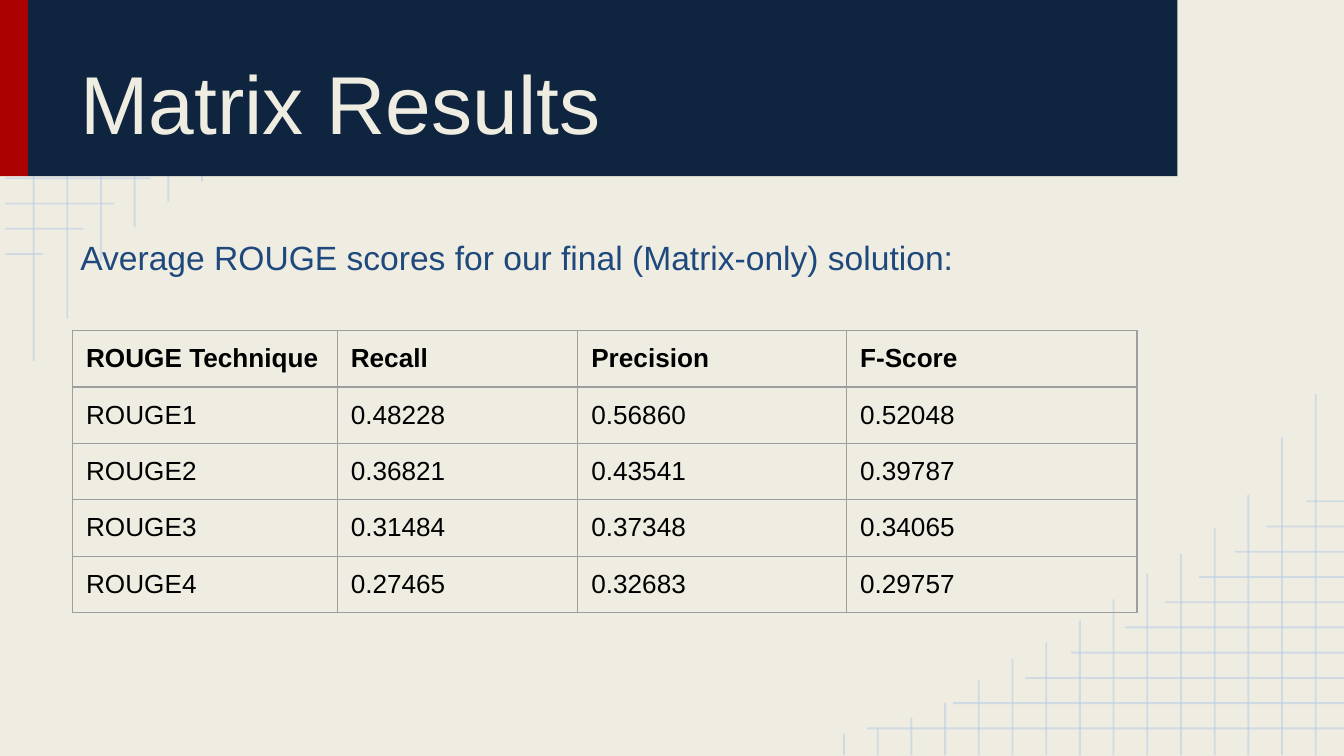
from lxml import etree
from pptx import Presentation
from pptx.dml.color import RGBColor
from pptx.enum.shapes import MSO_CONNECTOR, MSO_SHAPE
from pptx.enum.text import MSO_ANCHOR
from pptx.oxml import parse_xml
from pptx.oxml.ns import nsdecls, qn
from pptx.util import Inches, Pt

STRAIGHT = MSO_CONNECTOR.STRAIGHT
RECTANGLE = MSO_SHAPE.RECTANGLE
TOP, BOTTOM = MSO_ANCHOR.TOP, MSO_ANCHOR.BOTTOM

CREAM = RGBColor(0xEF, 0xED, 0xE2)
NAVY = RGBColor(0x0F, 0x24, 0x3E)
RED = RGBColor(0xAB, 0x01, 0x01)
BLUE = RGBColor(0x1F, 0x49, 0x7D)
PALE_BLUE = RGBColor(0xB7, 0xCC, 0xE4)
BLACK = RGBColor(0, 0, 0)
BORDER_GREY = "9E9E9E"

prs = Presentation()
prs.slide_width = Inches(10)
prs.slide_height = prs.slide_width * 9 // 16
slide = prs.slides.add_slide(prs.slide_layouts[6])
slide.background.fill.solid()
slide.background.fill.fore_color.rgb = CREAM


def add_grid_line(x1, y1, x2, y2):
    """Draw one half-transparent line of the background grid."""
    line = slide.shapes.add_connector(
        STRAIGHT, Inches(x1), Inches(y1), Inches(x2), Inches(y2))
    line.line.color.rgb = PALE_BLUE
    line.line.width = Pt(1)
    properties = line._element.spPr
    color = properties.find(".//" + qn("a:srgbClr"))
    etree.SubElement(color, qn("a:alpha"), val="54000")
    etree.SubElement(properties, qn("a:effectLst"))


def write_text(frame, text, size, color, bold=False):
    """Write one Arial paragraph with equal insets into a text frame."""
    for side in ("left", "top", "right", "bottom"):
        setattr(frame, "margin_" + side, Inches(0.1))
    frame.word_wrap = True
    run = frame.paragraphs[0].add_run()
    run.text = text
    font_format = {"name": "Arial", "size": Pt(size), "bold": bold}
    for attribute, value in font_format.items():
        setattr(run.font, attribute, value)
    run.font.color.rgb = color


# Corner grids: the lower right one is the upper left one turned by 180 degrees
row_lengths = [3.55, 2.91, 2.37, 2.03, 1.63, 1.33, 1.08, 0.81, 0.58, 0.28]
column_lengths = [2.69, 2.37, 1.94, 1.69, 1.5, 1.35, 1.16, 1,
                  0.84, 0.72, 0.56, 0.39, 0.28, 0.2, 0.16]
grid_lines = [(0.04, 0.2 + i * 1.69 / 9, 0.04 + length, 0.2 + i * 1.69 / 9)
              for i, length in enumerate(row_lengths)]
grid_lines += [(0.25 + i * 3.51 / 14, length, 0.25 + i * 3.51 / 14, 0)
               for i, length in enumerate(column_lengths)]
for x1, y1, x2, y2 in grid_lines:
    add_grid_line(x1, y1, x2, y2)
for x1, y1, x2, y2 in grid_lines:
    add_grid_line(10.04 - x1, 5.62 - y1, 10.04 - x2, 5.62 - y2)

# Title band
for left, width, color in [(0, 0.21, RED), (0.21, 8.55, NAVY)]:
    band = slide.shapes.add_shape(
        RECTANGLE, Inches(left), Inches(-0.01), Inches(width), Inches(1.32))
    band.shadow.inherit = False
    band.fill.solid()
    band.fill.fore_color.rgb = color
    band.line.fill.background()

# Title and introduction
title = slide.shapes.add_textbox(
    Inches(0.5), Inches(0.11), Inches(8), Inches(1.11)).text_frame
write_text(title, "Matrix Results", 44, CREAM)
title.vertical_anchor = BOTTOM

intro = slide.shapes.add_textbox(
    Inches(0.5), Inches(1.4), Inches(9), Inches(3.97)).text_frame
write_text(intro, "Average ROUGE scores for our final (Matrix-only) solution:",
           18, BLUE)
intro.vertical_anchor = TOP
intro.margin_top = Inches(0.52)

# Score table
scores = [
    ("ROUGE Technique", "Recall", "Precision", "F-Score"),
    ("ROUGE1", "0.48228", "0.56860", "0.52048"),
    ("ROUGE2", "0.36821", "0.43541", "0.39787"),
    ("ROUGE3", "0.31484", "0.37348", "0.34065"),
    ("ROUGE4", "0.27465", "0.32683", "0.29757"),
]
column_widths = [1.97, 1.79, 2, 2.16]
cell_margins = {"left": 0.1, "top": 0.1, "right": 0.1, "bottom": 0.08}
score_table = slide.shapes.add_table(
    len(scores), len(column_widths), Inches(0.54), Inches(2.46),
    Inches(sum(column_widths)), Inches(0.42 * len(scores))).table
score_table.horz_banding = False
score_table.first_row = False
for column, width in zip(score_table.columns, column_widths):
    column.width = Inches(width)

for r, row in enumerate(scores):
    for c, text in enumerate(row):
        cell = score_table.cell(r, c)
        write_text(cell.text_frame, text, 14, BLACK, bold=r == 0)
        for side, margin in cell_margins.items():
            setattr(cell, "margin_" + side, Inches(margin))
        cell.fill.background()
        cell_properties = cell._tc.get_or_add_tcPr()
        for position, edge in enumerate(("lnL", "lnR", "lnT", "lnB")):
            cell_properties.insert(position, parse_xml(
                f'<a:{edge} {nsdecls("a")} w="{Pt(0.75)}"><a:solidFill>'
                f'<a:srgbClr val="{BORDER_GREY}"/></a:solidFill></a:{edge}>'))

prs.save("out.pptx")
